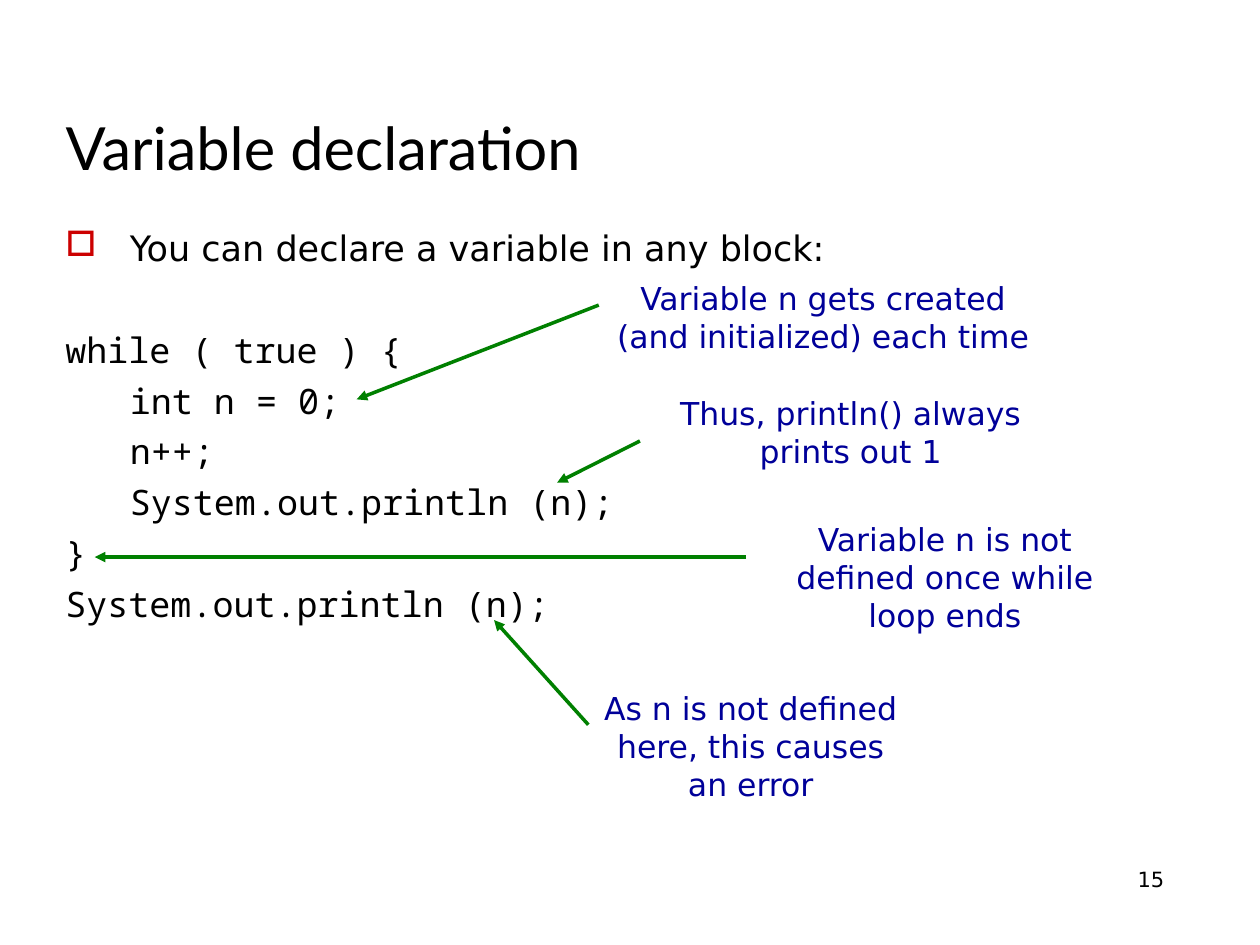
from lxml import etree
from pptx import Presentation
from pptx.dml.color import RGBColor
from pptx.enum.shapes import MSO_CONNECTOR
from pptx.enum.text import MSO_ANCHOR, PP_ALIGN
from pptx.oxml.ns import qn
from pptx.util import Cm, Pt

STRAIGHT = MSO_CONNECTOR.STRAIGHT
BOTTOM = MSO_ANCHOR.BOTTOM
LEFT, CENTER, RIGHT, JUSTIFY = PP_ALIGN.LEFT, PP_ALIGN.CENTER, PP_ALIGN.RIGHT, PP_ALIGN.JUSTIFY
SANS, MONO, HEADING = "DejaVu Sans", "Noto Sans Mono", "Lato"
BLACK, NAVY, GREEN, RED = "000000", "000099", "008000", "CC0000"
INDENT = 1.3

CODE = [
    ("while ( true ) {", 0),
    ("int n = 0;", 1),
    ("n++;", 1),
    ("System.out.println (n);", 1),
    ("}", 0),
    ("System.out.println (n);", 0),
]
NOTES = [
    ("Variable n gets created (and initialized) each time",
     (11.86, 5.51, 9.47, 1.78), (12.07, 6.15), (7.19, 8.05)),
    ("Thus, println() always prints out 1",
     (13.34, 7.82, 7.62, 1.78), (12.9, 8.89), (11.23, 9.73)),
    ("Variable n is not defined once while loop ends",
     (15.24, 10.36, 7.62, 2.54), (15.04, 11.23), (1.91, 11.23)),
    ("As n is not defined here, this causes an error",
     (11.86, 13.77, 6.55, 2.54), (11.86, 14.61), (9.96, 12.5)),
]


def color(value):
    """Return the colour for a hex string."""
    return RGBColor.from_string(value)


def add_run(paragraph, text, size, font, fill):
    """Add one formatted run to a paragraph."""
    run = paragraph.add_run()
    run.text = text
    run.font.size = Pt(size)
    run.font.name = font
    run.font.color.rgb = color(fill)


def add_text_box(slide, box):
    """Add a wrapping text box and return its text frame."""
    frame = slide.shapes.add_textbox(*map(Cm, box)).text_frame
    frame.word_wrap = True
    return frame


def add_label(slide, box, text, size, fill, alignment):
    """Add a text box with a single paragraph."""
    paragraph = add_text_box(slide, box).paragraphs[0]
    paragraph.alignment = alignment
    add_run(paragraph, text, size, SANS, fill)


def set_title(slide, text):
    """Place and fill the title placeholder."""
    title = slide.shapes.title
    title.left, title.top, title.width, title.height = map(Cm, (1.07, 0.43, 22.86, 3.38))
    title.text_frame.vertical_anchor = BOTTOM
    paragraph = title.text_frame.paragraphs[0]
    paragraph.alignment = LEFT
    add_run(paragraph, text, 34, HEADING, BLACK)


def add_bullet(paragraph):
    """Give a paragraph a red square bullet on a hanging indent."""
    properties = paragraph._p.get_or_add_pPr()
    properties.set("marL", str(Cm(INDENT)))
    properties.set("indent", str(-Cm(INDENT)))
    bullet_color = etree.SubElement(properties, qn("a:buClr"))
    etree.SubElement(bullet_color, qn("a:srgbClr"), val=RED)
    etree.SubElement(properties, qn("a:buChar"), char="□")


def add_body(slide):
    """Add the bullet and the code listing below it."""
    frame = add_text_box(slide, (1.07, 4.45, 23.93, 14.17))
    paragraph = frame.paragraphs[0]
    add_bullet(paragraph)
    paragraph.alignment = JUSTIFY
    paragraph.line_spacing = Pt(24)
    add_run(paragraph, "You can declare a variable in any block:", 20, SANS, BLACK)
    for index, (text, level) in enumerate(CODE):
        paragraph = frame.add_paragraph()
        paragraph._p.get_or_add_pPr().set("marL", str(Cm(level * INDENT)))
        paragraph.alignment = JUSTIFY
        paragraph.line_spacing = Pt(24)
        paragraph.space_before = Pt(5 if index else 34)
        add_run(paragraph, text, 20, MONO, BLACK)


def add_arrow(slide, start, end):
    """Add a green line with an arrowhead at its end."""
    arrow = slide.shapes.add_connector(STRAIGHT, *map(Cm, start + end))
    arrow.line.color.rgb = color(GREEN)
    arrow.line.width = Pt(2)
    etree.SubElement(arrow.line._get_or_add_ln(), qn("a:tailEnd"), type="triangle")
    etree.SubElement(arrow._element.spPr, qn("a:effectLst"))


def main():
    """Build the slide and save it."""
    presentation = Presentation()
    presentation.slide_width = Cm(25.4)
    presentation.slide_height = Cm(19.05)
    slide = presentation.slides.add_slide(presentation.slide_layouts[5])
    add_label(slide, (18.21, 17.35, 5.51, 1.32), "15", 12, BLACK, RIGHT)
    set_title(slide, "Variable declaration")
    add_body(slide)
    for text, box, start, end in NOTES:
        add_arrow(slide, start, end)
        add_label(slide, box, text, 18, NAVY, CENTER)
    presentation.save("out.pptx")


if __name__ == "__main__":
    main()
